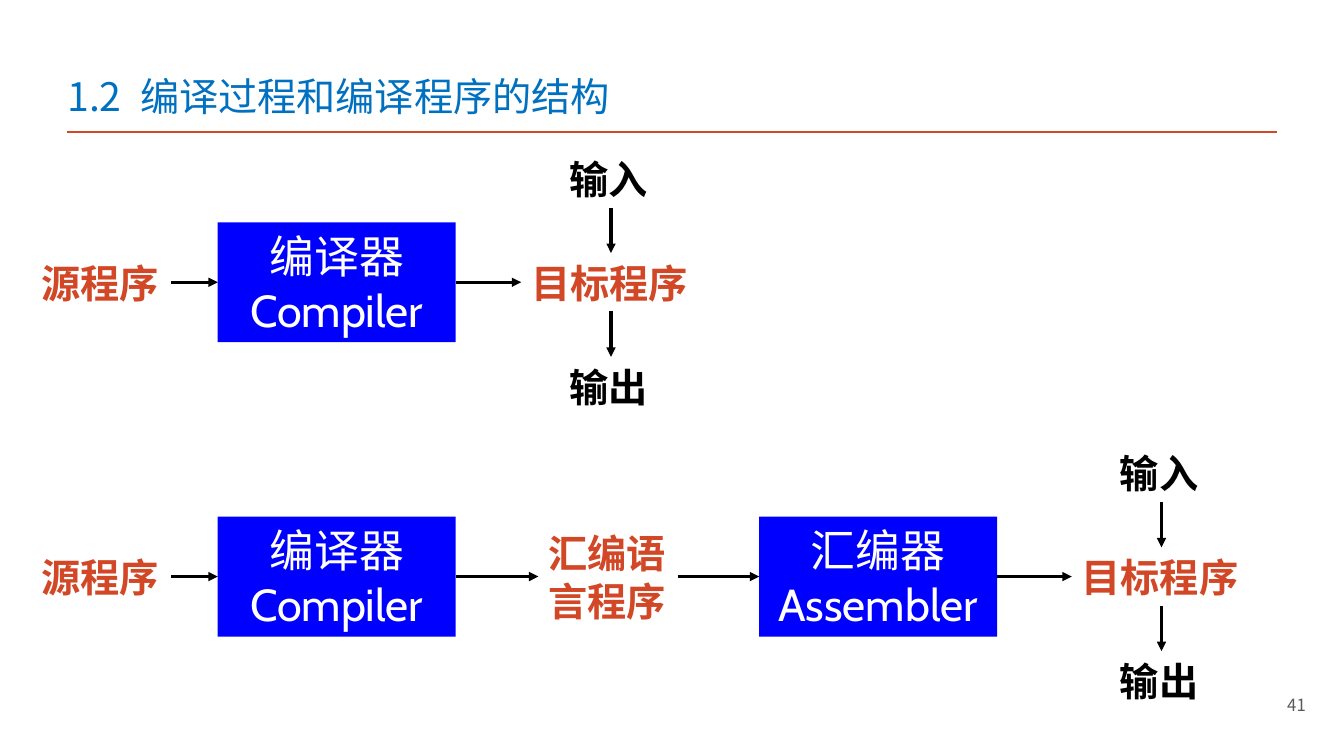
import pptx
import pptx.dml.color
import pptx.enum.shapes
import pptx.enum.text
import pptx.util
from lxml import etree
from pptx.oxml.ns import qn
from pptx.util import Inches

TEXT_FONT = "Noto Sans CJK SC"
BOX_FONT = "Cabin"
ACCENT = "D24726"
BLACK = "000000"
LABEL_HEIGHT = 0.58
BOX_WIDTH, BOX_HEIGHT = 2.36, 1.19
ALIGN = pptx.enum.text.PP_ALIGN
ANCHOR = pptx.enum.text.MSO_ANCHOR


def rgb(color):
    return pptx.dml.color.RGBColor.from_string(color)


def write_lines(frame, lines, size, color, font=TEXT_FONT, bold=False,
                align=ALIGN.LEFT, anchor=ANCHOR.MIDDLE, spacing=None):
    """Fill a text frame with one paragraph per line, all in one style."""
    frame.vertical_anchor = anchor
    for index, line in enumerate(lines):
        paragraph = frame.paragraphs[0] if index == 0 else frame.add_paragraph()
        paragraph.text = line
        paragraph.alignment = align
        if spacing:
            paragraph.line_spacing = pptx.util.Pt(spacing)
        paragraph.font.size = pptx.util.Pt(size)
        paragraph.font.bold = bold
        paragraph.font.name = font
        paragraph.font.color.rgb = rgb(color)
        properties = paragraph._p.pPr.find(qn("a:defRPr"))
        etree.SubElement(properties, qn("a:ea")).set("typeface", font)


def add_text_box(slide, left, top, width, height):
    return slide.shapes.add_textbox(
        Inches(left), Inches(top), Inches(width), Inches(height)).text_frame


def add_line(slide, start, end, color, width, arrow=False):
    line = slide.shapes.add_connector(
        pptx.enum.shapes.MSO_CONNECTOR.STRAIGHT, *map(Inches, (*start, *end)))
    line.line.color.rgb = rgb(color)
    line.line.width = pptx.util.Pt(width)
    if arrow:
        outline = line.line._get_or_add_ln()
        etree.SubElement(outline, qn("a:tailEnd")).set("type", "triangle")
    etree.SubElement(line._element.spPr, qn("a:effectLst"))


def add_arrow(slide, start, end):
    add_line(slide, start, end, BLACK, 2.25, arrow=True)


def add_flow_arrow(slide, left, right, middle):
    add_arrow(slide, (left, middle), (right, middle))


def add_label(slide, left, middle, width, lines, color=ACCENT, height=LABEL_HEIGHT):
    frame = add_text_box(slide, left, middle - height / 2, width, height)
    frame.word_wrap = False
    write_lines(frame, lines, 28, color, bold=True, spacing=34)


def add_tool_box(slide, left, middle, lines):
    box = slide.shapes.add_shape(
        pptx.enum.shapes.MSO_SHAPE.RECTANGLE, Inches(left),
        Inches(middle - BOX_HEIGHT / 2), Inches(BOX_WIDTH), Inches(BOX_HEIGHT))
    box.shadow.inherit = False
    box.fill.solid()
    box.fill.fore_color.rgb = rgb("0000FF")
    box.line.fill.background()
    write_lines(box.text_frame, lines, 32, "FFFFFF", BOX_FONT, align=ALIGN.CENTER)


def add_header(slide, left, top, width):
    frame = add_text_box(slide, left, top, 7.52, 0.7)
    frame.word_wrap = True
    write_lines(frame, ["1.2\t编译过程和编译程序的结构"], 28, "0070C0",
                anchor=ANCHOR.BOTTOM)
    tabs = etree.Element(qn("a:tabLst"))
    etree.SubElement(tabs, qn("a:tab"), pos=str(Inches(0.72)), algn="l")
    frame.paragraphs[0]._p.pPr.find(qn("a:defRPr")).addprevious(tabs)
    rule_left, rule_top = left + 0.09, top + 0.78
    add_line(slide, (rule_left, rule_top), (rule_left + width, rule_top), ACCENT, 2)


def add_page_number(slide, left, top):
    frame = add_text_box(slide, left, top, 3.89, 0.4)
    frame.word_wrap = True
    write_lines(frame, ["41"], 12, "595959", align=ALIGN.RIGHT)


def add_compiler_stage(slide, left, middle):
    """Source program feeding the compiler box."""
    add_label(slide, left, middle, 1.39, ["源程序"])
    box_left = left + 1.85
    add_flow_arrow(slide, left + 1.39, box_left, middle)
    add_tool_box(slide, box_left, middle, ["编译器", "Compiler"])


def add_target_stage(slide, left, middle):
    """Target program with its input above and output below."""
    center, offset, half = left + 0.89, 1.03, LABEL_HEIGHT / 2
    input_middle, output_middle = middle - offset, middle + offset
    add_label(slide, left, middle, 1.79, ["目标程序"])
    for text, label_middle in (("输入", input_middle), ("输出", output_middle)):
        add_label(slide, center - 0.51, label_middle, 1.02, [text], BLACK)
    for upper, lower in ((input_middle, middle), (middle, output_middle)):
        add_arrow(slide, (center, upper + half), (center, lower - half))


def add_assembler_stage(slide, left, middle):
    """Assembly program feeding the assembler box."""
    add_label(slide, left, middle, 1.38, ["汇编语", "言程序"], height=1.04)
    box_left = left + 2.19
    add_flow_arrow(slide, left + 1.38, box_left, middle)
    add_tool_box(slide, box_left, middle, ["汇编器", "Assembler"])


def add_direct_flow(slide, left, middle):
    add_compiler_stage(slide, left, middle)
    add_flow_arrow(slide, left + 4.21, left + 4.86, middle)
    add_target_stage(slide, left + 4.86, middle)


def add_assembly_flow(slide, left, middle):
    add_compiler_stage(slide, left, middle)
    add_flow_arrow(slide, left + 4.21, left + 5.03, middle)
    add_assembler_stage(slide, left + 5.03, middle)
    add_flow_arrow(slide, left + 9.58, left + 10.32, middle)
    add_target_stage(slide, left + 10.32, middle)


def main():
    presentation = pptx.Presentation()
    presentation.slide_width = Inches(13.33)
    presentation.slide_height = Inches(7.5)
    slide = presentation.slides.add_slide(presentation.slide_layouts[6])
    add_header(slide, 0.57, 0.53, 12.01)
    add_direct_flow(slide, 0.31, 2.8)
    add_assembly_flow(slide, 0.31, 5.72)
    add_page_number(slide, 9.16, 6.79)
    presentation.save("out.pptx")


if __name__ == "__main__":
    main()
